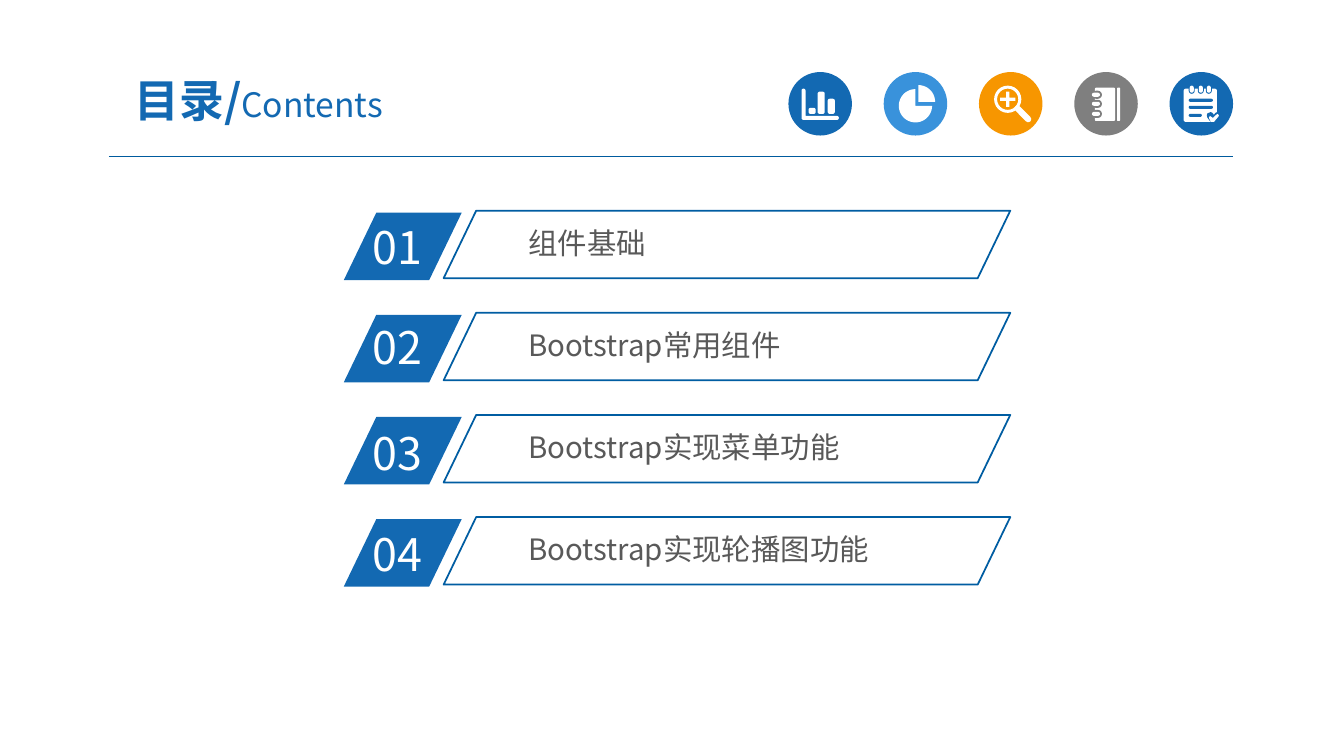
import math

import pptx
import pptx.util
import pptx.dml.color
import pptx.enum.shapes
import pptx.enum.text
import lxml.etree

Inches = pptx.util.Inches
Pt = pptx.util.Pt
RGBColor = pptx.dml.color.RGBColor
KIND = pptx.enum.shapes.MSO_SHAPE
ALIGN = pptx.enum.text.PP_ALIGN
ANCHOR = pptx.enum.text.MSO_ANCHOR

FONT = "Noto Sans CJK SC"
BLUE = RGBColor(0x13, 0x69, 0xB2)
SKY = RGBColor(0x39, 0x92, 0xDB)
ORANGE = RGBColor(0xF7, 0x96, 0x00)
GRAY = RGBColor(0x7F, 0x7F, 0x7F)
WHITE = RGBColor(0xFF, 0xFF, 0xFF)
INK = RGBColor(0x59, 0x59, 0x59)
EDGE = RGBColor(0x00, 0x5D, 0xA2)
RULE = RGBColor(0x00, 0x5B, 0x9E)

PITCH = 3.04 / 3
SLANT = 0.482
# Label, and the top of the number beside it
ITEMS = [
    ("组件基础", 2.13),
    ("Bootstrap常用组件", 3.12),
    ("Bootstrap实现菜单功能", 4.17),
    ("Bootstrap实现轮播图功能", 5.18),
]


def paint(shape, fill=None, line=None):
    shape.shadow.inherit = False
    if fill is None:
        shape.fill.background()
    else:
        shape.fill.solid()
        shape.fill.fore_color.rgb = fill
    if line is None:
        shape.line.fill.background()
    else:
        shape.line.color.rgb = line
        shape.line.width = Pt(1.25)
    return shape


def add_shape(slide, kind, box, fill=None, line=None, adjust=()):
    """Draw a preset shape; box is left, top, width, height in inches."""
    shape = slide.shapes.add_shape(kind, *map(Inches, box))
    for index, value in enumerate(adjust):
        shape.adjustments[index] = value
    return paint(shape, fill, line)


def add_form(slide, loops):
    """Draw closed outlines, in inches, as one white shape."""
    loops = [[(Inches(x), Inches(y)) for x, y in loop] for loop in loops]
    form = slide.shapes.build_freeform(*loops[0][0], scale=1.0)
    for index, loop in enumerate(loops):
        if index:
            form.move_to(*loop[0])
        form.add_line_segments(loop[1:], close=True)
    paint(form.convert_to_shape(), WHITE)


def arc(x, y, radius, start, end):
    """Points each 5 degrees round a centre, clockwise from the right."""
    angles = [math.radians(angle) for angle in range(start, end + 1, 5)]
    return [(x + radius * math.cos(a), y + radius * math.sin(a))
            for a in angles]


def round_box(left, top, right, base, curve):
    """Outline of a box with round corners."""
    corners = [(right - curve, base - curve), (left + curve, base - curve),
               (left + curve, top + curve), (right - curve, top + curve)]
    return [point for turn, (x, y) in enumerate(corners)
            for point in arc(x, y, curve, 90 * turn, 90 * turn + 90)]


def add_text(slide, box, runs, color, inset=(0.1, 0.05), align=ALIGN.LEFT,
             anchor=ANCHOR.TOP):
    """Add one paragraph; each run is text, size, bold."""
    frame = slide.shapes.add_textbox(*map(Inches, box)).text_frame
    frame.word_wrap = True
    frame.vertical_anchor = anchor
    frame.margin_left = frame.margin_right = Inches(inset[0])
    frame.margin_top = frame.margin_bottom = Inches(inset[1])
    para = frame.paragraphs[0]
    para.alignment = align
    for text, size, bold in runs:
        run = para.add_run()
        run.text = text
        run.font.size = Pt(size)
        run.font.bold = bold
        run.font.name = FONT
        run.font.color.rgb = color
        props = run.font._element
        face = lxml.etree.SubElement(props, pptx.oxml.ns.qn("a:ea"))
        face.set("typeface", FONT)


def add_rule(slide):
    rule = slide.shapes.add_connector(
        pptx.enum.shapes.MSO_CONNECTOR.STRAIGHT,
        Inches(1.08), Inches(1.55), Inches(12.23), Inches(1.55))
    rule.line.color.rgb = RULE
    rule.line.width = Pt(0.75)
    lxml.etree.SubElement(rule._element.spPr, pptx.oxml.ns.qn("a:effectLst"))


def add_bar(slide, box, fill=WHITE, curve=0.5):
    return add_shape(slide, KIND.ROUNDED_RECTANGLE, box, fill, adjust=[curve])


def draw_chart(slide, color):
    axes = (arc(7.97, 0.9, 0.02, 180, 360) + [(7.99, 1.15)]
            + arc(8.3, 1.17, 0.02, 270, 450) + arc(7.97, 1.17, 0.02, 90, 180))
    bars = [round_box(left, top, left + 0.07, 1.13, 0.02)
            for left, top in ((8.02, 1.07), (8.11, 0.91), (8.21, 0.98))]
    add_form(slide, [axes, *bars])


def draw_pie(slide, color):
    wedge = [(9.11, 1.01)] + arc(9.11, 1.01, 0.165, 270, 360)
    rest = [(9.08, 1.05)] + arc(9.08, 1.05, 0.165, 0, 270)
    add_form(slide, [wedge, rest])


def draw_lens(slide, color):
    add_shape(slide, KIND.DONUT, (9.86, 0.85, 0.27, 0.27), WHITE, adjust=[0.11])
    add_shape(slide, KIND.CROSS, (9.92, 0.91, 0.15, 0.15), WHITE, adjust=[0.4])
    add_bar(slide, (10.04, 1.1, 0.21, 0.06)).rotation = 45


def draw_book(slide, color):
    add_bar(slide, (10.86, 0.87, 0.2, 0.33), curve=0.06)
    add_bar(slide, (11.08, 0.87, 0.03, 0.33), curve=0.3)
    for top in (0.92, 1.01, 1.11):
        add_bar(slide, (10.83, top - 0.02, 0.1, 0.08), color)
        add_bar(slide, (10.83, top, 0.08, 0.04))


def draw_notes(slide, color):
    add_bar(slide, (11.74, 0.88, 0.33, 0.33), curve=0.06)
    for left in (11.8, 11.89, 11.97):
        add_bar(slide, (left - 0.01, 0.84, 0.06, 0.09), color)
        add_bar(slide, (left, 0.85, 0.04, 0.07))
    for top, width in ((0.98, 0.24), (1.05, 0.24), (1.13, 0.13)):
        add_bar(slide, (11.79, top, width, 0.03), color)
    add_shape(slide, KIND.HEART, (11.97, 1.11, 0.14, 0.12), color)
    add_form(slide, [[(11.99, 1.17), (12, 1.15), (12.03, 1.17), (12.06, 1.14),
                      (12.08, 1.13), (12.09, 1.15), (12.04, 1.21),
                      (12.01, 1.21)]])


def add_icons(slide):
    icons = [(BLUE, draw_chart), (SKY, draw_pie), (ORANGE, draw_lens),
             (GRAY, draw_book), (BLUE, draw_notes)]
    for index, (color, draw) in enumerate(icons):
        left = 7.82 + 0.945 * index
        add_shape(slide, KIND.OVAL, (left, 0.715, 0.63, 0.63), color)
        draw(slide, color)


def add_item(slide, index, label, top):
    shift = PITCH * index
    add_shape(slide, KIND.PARALLELOGRAM, (3.41, 2.11 + shift, 1.17, 0.67),
              BLUE, adjust=[SLANT])
    add_text(slide, (3.6, top, 1.12, 0.64),
             [(f"{index + 1:02}", 32, False)], WHITE)
    add_text(slide, (5.17, 2.19 + shift, 4.12, 0.43),
             [(label, 21, False)], INK, inset=(0.07, 0.04))
    add_shape(slide, KIND.PARALLELOGRAM, (4.4, 2.09 + shift, 5.62, 0.67),
              line=EDGE, adjust=[SLANT])


def main():
    deck = pptx.Presentation()
    deck.slide_width = Inches(13.33)
    deck.slide_height = Inches(7.5)
    slide = deck.slides.add_slide(deck.slide_layouts[6])
    add_rule(slide)
    add_icons(slide)
    add_text(slide, (0.92, 0.63, 3.29, 0.72),
             [("目录/", 32, True), ("Contents", 24, False)], BLUE,
             inset=(0.13, 0.07), align=ALIGN.CENTER, anchor=ANCHOR.MIDDLE)
    for index, (label, top) in enumerate(ITEMS):
        add_item(slide, index, label, top)
    deck.save("out.pptx")


if __name__ == "__main__":
    main()
